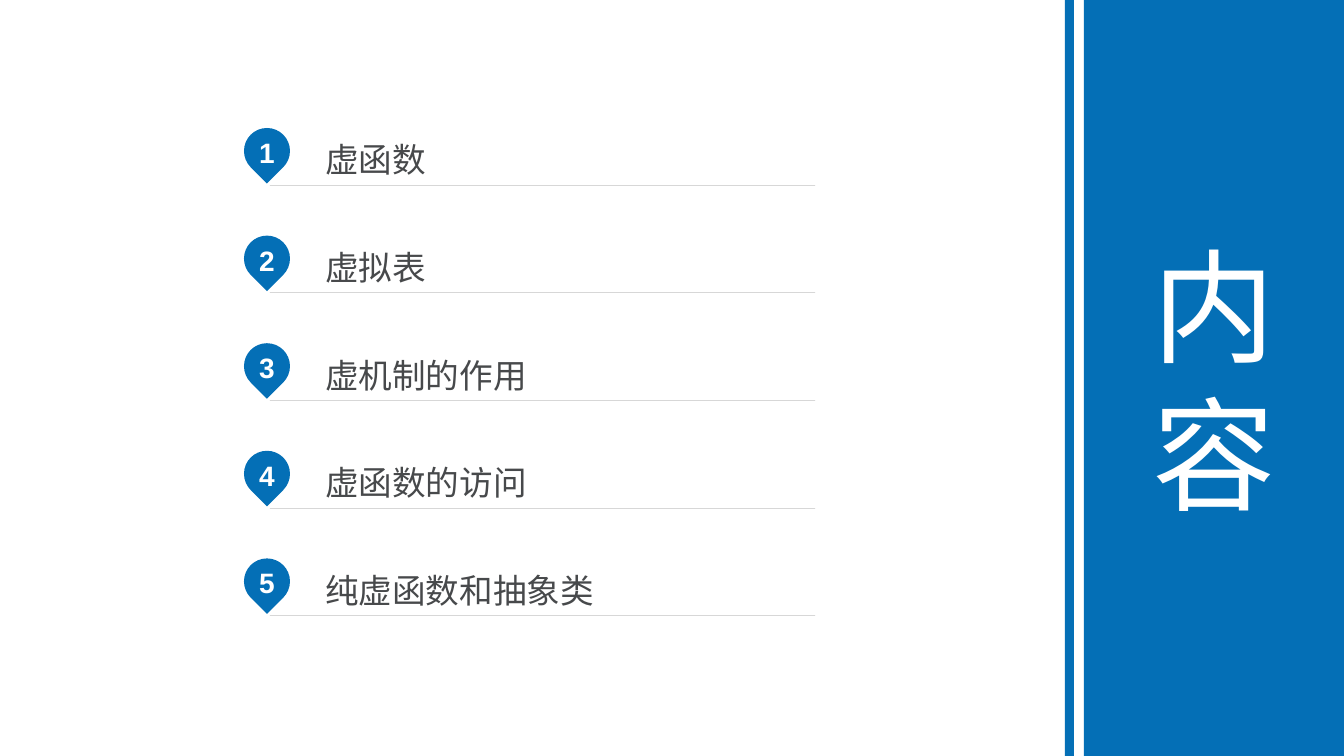
import math

import pptx
import pptx.dml.color
import pptx.enum.shapes
import pptx.enum.text
import pptx.oxml.ns
import pptx.util
from lxml import etree

# Content
TITLE = "内容"
TOPICS = ["虚函数", "虚拟表", "虚机制的作用", "虚函数的访问", "纯虚函数和抽象类"]

# Colours
BLUE = pptx.dml.color.RGBColor(0x04, 0x6F, 0xB6)
WHITE = pptx.dml.color.RGBColor(0xFF, 0xFF, 0xFF)
TEXT_GREY = pptx.dml.color.RGBColor(0x47, 0x49, 0x4B)
RULE_GREY = pptx.dml.color.RGBColor(0xD7, 0xD7, 0xD7)

# Layout in pixels
PAGE_WIDTH, PAGE_HEIGHT = 1344, 756
FIRST_TOP, PITCH = 128, 107.6
PIN_CENTRE, PIN_RADIUS = 267, 23
ENTRY_LEFT, ENTRY_WIDTH, ENTRY_HEIGHT = 270, 545, 55
PANEL_LEFT = 1084
STRIPE_LEFT, STRIPE_WIDTH = 1065, 9

# Pin outline: arcs in degrees by the position of their segment
PIN_ARCS = {0: (-90, 0), 1: (0, 45), 4: (135, 180), 5: (180, 270)}

CENTER = pptx.enum.text.PP_ALIGN.CENTER
LEFT = pptx.enum.text.PP_ALIGN.LEFT


def px(pixels):
    return pptx.util.Emu(round(pixels * 914400 / 100.8))


def paint(shape):
    shape.fill.solid()
    shape.fill.fore_color.rgb = BLUE
    shape.line.fill.background()


def write(shape, text, size, colour, align, margins=(10, 5, 10, 5), bold=False):
    frame = shape.text_frame
    frame.word_wrap = True
    frame.auto_size = pptx.enum.text.MSO_AUTO_SIZE.NONE
    frame.vertical_anchor = pptx.enum.text.MSO_ANCHOR.MIDDLE
    (frame.margin_left, frame.margin_top,
     frame.margin_right, frame.margin_bottom) = map(px, margins)
    frame.text = text
    para = frame.paragraphs[0]
    para.alignment = align
    para.font.name = "Arial"
    para.font.size = pptx.util.Pt(size)
    para.font.bold = bold
    para.font.color.rgb = colour
    return para


def on_circle(angle):
    turn = math.radians(angle)
    return PIN_RADIUS * math.cos(turn), PIN_RADIUS * math.sin(turn)


def bend(segment, start, end):
    # Turn a straight segment into a circular arc around the pin's centre
    reach = 4 / 3 * math.tan(math.radians(end - start) / 4)
    (x1, y1), (x2, y2) = on_circle(start), on_circle(end)
    segment.tag = pptx.oxml.ns.qn("a:cubicBezTo")
    controls = [(x1 - reach * y1, y1 + reach * x1),
                (x2 + reach * y2, y2 - reach * x2)]
    for place, (x, y) in enumerate(controls):
        point = etree.Element(pptx.oxml.ns.qn("a:pt"))
        point.set("x", str(px(PIN_RADIUS + x)))
        point.set("y", str(px(PIN_RADIUS + y)))
        segment.insert(place, point)


def add_pin(top, number):
    tip = (0, PIN_RADIUS * math.sqrt(2))
    corners = [on_circle(-90), on_circle(0), on_circle(45), tip,
               on_circle(135), on_circle(180), on_circle(270)]
    outline = [(px(PIN_CENTRE + x), px(top + PIN_RADIUS + y))
               for x, y in corners]
    builder = page.shapes.build_freeform(*outline[0])
    builder.add_line_segments(outline[1:], close=True)
    pin = builder.convert_to_shape()
    pin.shadow.inherit = False
    segments = list(pin._element.iter(pptx.oxml.ns.qn("a:lnTo")))
    for index, (start, end) in PIN_ARCS.items():
        bend(segments[index], start, end)
    paint(pin)
    write(pin, str(number), 20, WHITE, CENTER, (10, 5, 10, 12), bold=True)


def add_entry(top, topic):
    # A rule along the bottom; a bare point at the top gives the text its height
    left, right = px(ENTRY_LEFT), px(ENTRY_LEFT + ENTRY_WIDTH)
    upper, lower = px(top), px(top + ENTRY_HEIGHT)
    builder = page.shapes.build_freeform(left, lower)
    builder.add_line_segments([(right, lower), (left, lower)], close=True)
    builder.move_to(left, upper)
    builder.add_line_segments([(left, upper)], close=True)
    entry = builder.convert_to_shape()
    entry.shadow.inherit = False
    entry.fill.background()
    entry.line.color.rgb = RULE_GREY
    entry.line.width = pptx.util.Pt(0.25)
    para = write(entry, topic, 24, TEXT_GREY, LEFT, (55, 0, 0, 4))
    para.line_spacing = 1.2


deck = pptx.Presentation()
deck.slide_width, deck.slide_height = px(PAGE_WIDTH), px(PAGE_HEIGHT)
page = deck.slides.add_slide(deck.slide_layouts.get_by_name("Title Only"))

# Numbered topics at an equal pitch
for index, topic in enumerate(TOPICS):
    top = FIRST_TOP + index * PITCH
    add_pin(top, index + 1)
    add_entry(top + 2, topic)

# Title panel, narrow enough to hold one character per line
panel = page.shapes.title
panel.left, panel.top = px(PANEL_LEFT), px(0)
panel.width, panel.height = px(PAGE_WIDTH - PANEL_LEFT), px(PAGE_HEIGHT)
paint(panel)
write(panel, TITLE, 88, WHITE, CENTER)

# Stripe beside the panel
stripe = page.shapes.add_shape(
    pptx.enum.shapes.MSO_SHAPE.RECTANGLE,
    px(STRIPE_LEFT), px(0), px(STRIPE_WIDTH), px(PAGE_HEIGHT))
stripe.shadow.inherit = False
paint(stripe)

deck.save("out.pptx")
